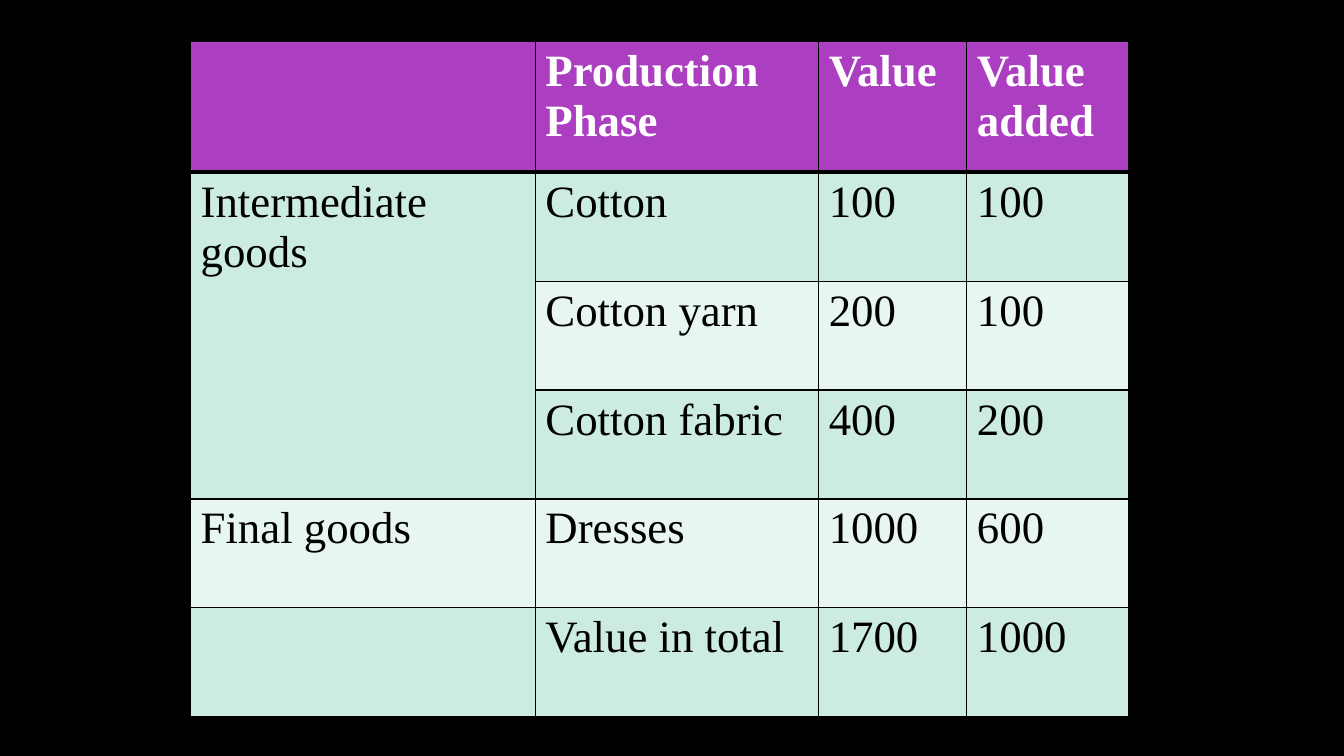
from lxml import etree
from pptx import Presentation, util as u
from pptx.dml.color import RGBColor
from pptx.oxml import ns

# Content: one tuple per table row
ROWS = [
    ("", "Production Phase", "Value", "Value added"),
    ("Intermediate goods", "Cotton", "100", "100"),
    ("", "Cotton yarn", "200", "100"),
    ("", "Cotton fabric", "400", "200"),
    ("Final goods", "Dresses", "1000", "600"),
    ("", "Value in total", "1700", "1000"),
]
INTERMEDIATE_ROWS = (1, 3)

# Grid, in inches
SLIDE_SIZE = (13.33, 7.5)
TABLE_ORIGIN = (1.89, 0.41)
COLUMN_WIDTHS = [3.42, 2.81, 1.47, 1.6]
ROW_HEIGHTS = [1.3] + [1.08] * (len(ROWS) - 1)

THEME = {
    "background": "000000",
    "header": "AC3EC1",
    "header_text": "FFFFFF",
    "bands": ("E7F6EF", "CBECDE"),
    "text": "000000",
    "border": "000000",
    "thin": 1,
    "thick": 3,
    "font": "Times New Roman",
    "size": 32,
}


def add_border(cell, side, width):
    properties = cell._tc.get_or_add_tcPr()
    line = etree.SubElement(properties, ns.qn(f"a:ln{side}"), w=str(u.Pt(width)))
    fill = etree.SubElement(line, ns.qn("a:solidFill"))
    etree.SubElement(fill, ns.qn("a:srgbClr"), val=THEME["border"])


def format_cell(cell, row, content):
    is_header = row == 0

    # The rule between header and body is thick
    thick_sides = {0: "B", 1: "T"}.get(row, "")
    for side in "LRTB":
        add_border(cell, side, THEME["thick" if side in thick_sides else "thin"])

    cell.fill.solid()
    color = THEME["header"] if is_header else THEME["bands"][row % 2]
    cell.fill.fore_color.rgb = RGBColor.from_string(color)

    cell.text = content
    font = cell.text_frame.paragraphs[0].font
    font.name = THEME["font"]
    font.size = u.Pt(THEME["size"])
    font.bold = is_header
    text_color = THEME["header_text" if is_header else "text"]
    font.color.rgb = RGBColor.from_string(text_color)


def main():
    presentation = Presentation()
    presentation.slide_width, presentation.slide_height = map(u.Inches, SLIDE_SIZE)
    slide = presentation.slides.add_slide(presentation.slide_layouts[6])
    background = slide.background.fill
    background.solid()
    background.fore_color.rgb = RGBColor.from_string(THEME["background"])

    # Table and its grid
    frame = slide.shapes.add_table(
        len(ROWS), len(COLUMN_WIDTHS), *map(u.Inches, TABLE_ORIGIN),
        u.Inches(sum(COLUMN_WIDTHS)), u.Inches(sum(ROW_HEIGHTS)))
    table = frame.table
    table.horz_banding = False
    for column, width in zip(table.columns, COLUMN_WIDTHS):
        column.width = u.Inches(width)
    for row, height in zip(table.rows, ROW_HEIGHTS):
        row.height = u.Inches(height)

    # Cells
    for row, contents in enumerate(ROWS):
        for column, content in enumerate(contents):
            format_cell(table.cell(row, column), row, content)
    first, last = INTERMEDIATE_ROWS
    table.cell(first, 0).merge(table.cell(last, 0))

    presentation.save("out.pptx")


if __name__ == "__main__":
    main()
